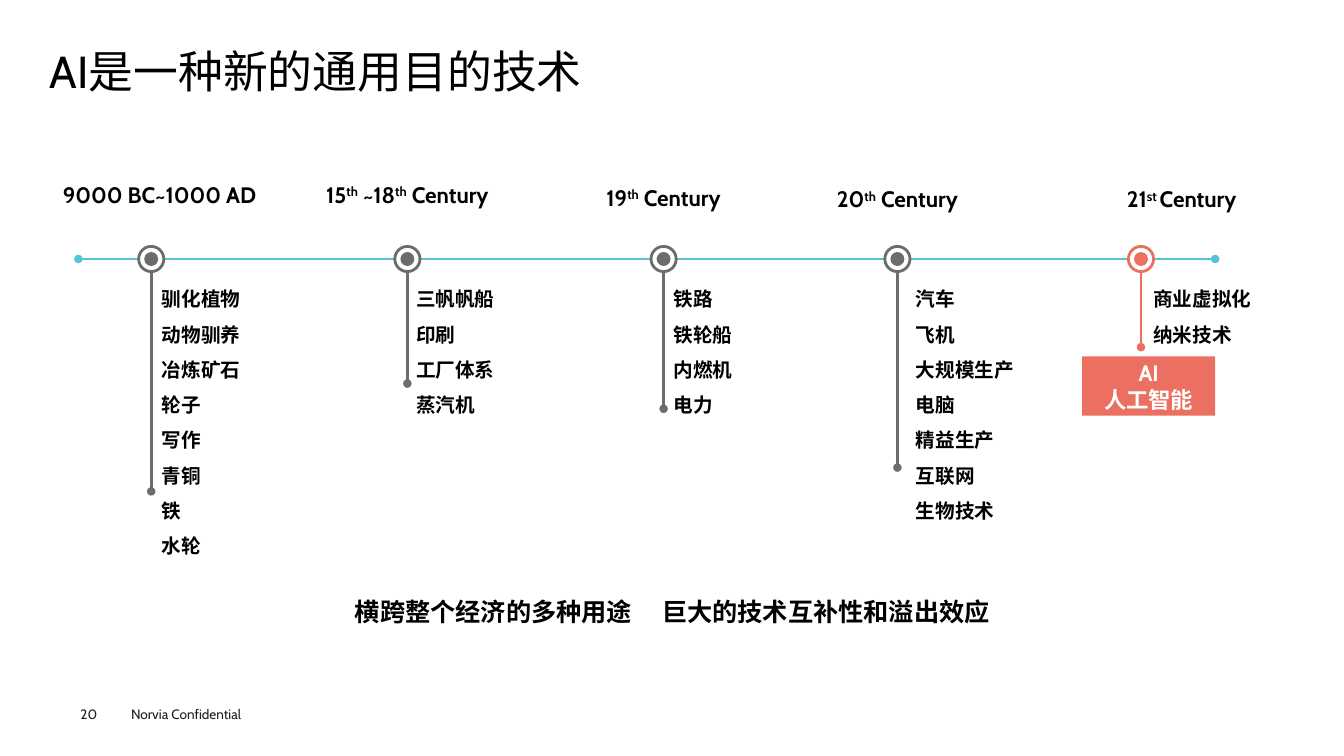
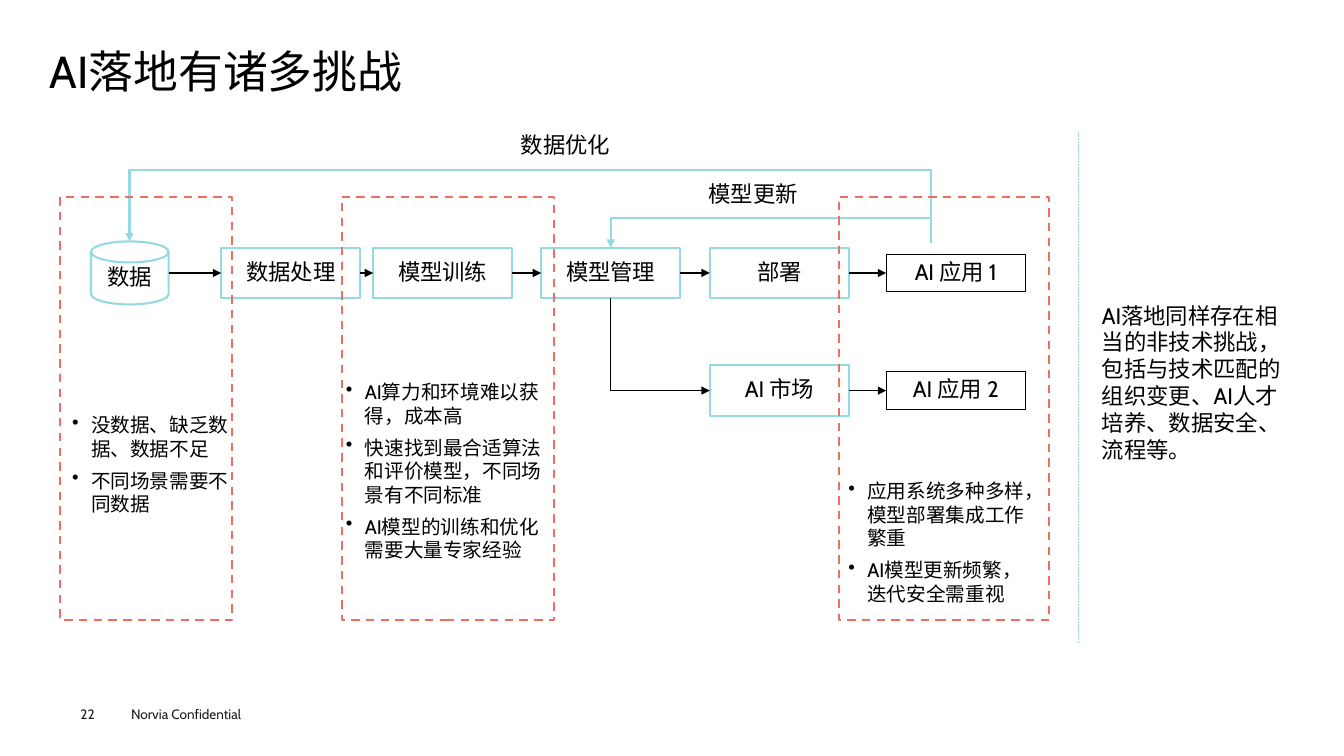
from lxml.etree import SubElement
from pptx import Presentation
from pptx.dml.color import RGBColor
from pptx.enum.dml import MSO_LINE
from pptx.enum.lang import MSO_LANGUAGE_ID
from pptx.enum.shapes import MSO_CONNECTOR, MSO_SHAPE
from pptx.enum.text import MSO_ANCHOR, PP_ALIGN
from pptx.oxml.ns import qn
from pptx.util import Pt

# Shared style
FONT = "Cabin"
BLACK, WHITE, FOOTER = "000000", "FFFFFF", "1D1D1B"
GREY, CORAL, TEAL, PALE_TEAL = "6C6C6C", "EC7061", "56C4D2", "94DAE2"
NO_MARGIN, DEFAULT_MARGIN = (0, 0), (7.2, 3.6)
LEFT, CENTER, RIGHT = PP_ALIGN.LEFT, PP_ALIGN.CENTER, PP_ALIGN.RIGHT
TOP, MIDDLE = MSO_ANCHOR.TOP, MSO_ANCHOR.MIDDLE


def color(value):
    return RGBColor.from_string(value)


def inside(box, left, top, width, height):
    """Box placed relative to the corner of another box."""
    return box[0] + left, box[1] + top, width, height


def points(values):
    return [Pt(value) for value in values]


# Text: a pair of ^ marks encloses superscript
def write(shape, text, size=16, bold=False, ink=BLACK, align=LEFT, anchor=TOP,
          spacing=None, before=0, bullet=None, margin=DEFAULT_MARGIN):
    frame = shape.text_frame
    frame.word_wrap = True
    frame.vertical_anchor = anchor
    frame.margin_left = frame.margin_right = Pt(margin[0])
    frame.margin_top = frame.margin_bottom = Pt(margin[1])
    for index, line in enumerate(text.split("\n")):
        para = frame.add_paragraph() if index else frame.paragraphs[0]
        if bullet:
            properties = para._p.get_or_add_pPr()
            properties.set("marL", str(Pt(13.5)))
            properties.set("indent", str(-Pt(13.5)))
            SubElement(properties, qn("a:buChar")).set("char", bullet)
        para.alignment = align
        if spacing:
            para.line_spacing = spacing
        if index and before:
            para.space_before = Pt(before)
        for part, words in enumerate(line.split("^")):
            if not words:
                continue
            span = para.add_run()
            span.text = words
            span.font.name = FONT
            span.font.size = Pt(size)
            span.font.bold = bold
            span.font.color.rgb = color(ink)
            span.font.language_id = MSO_LANGUAGE_ID.SIMPLIFIED_CHINESE
            if part % 2:
                span.font._element.set("baseline", "31000")


def add_text(page, box, text, **style):
    shape = page.shapes.add_textbox(*points(box))
    write(shape, text, **style)
    return shape


# Shapes and lines
def style_line(shape, ink, width, dash=None, head=None, tail=None):
    shape.line.color.rgb = color(ink)
    shape.line.width = Pt(width)
    if dash:
        shape.line.dash_style = dash
    outline = shape.element.spPr.find(qn("a:ln"))
    for tag, kind in (("a:headEnd", head), ("a:tailEnd", tail)):
        if kind:
            SubElement(outline, qn(tag)).set("type", kind)


def add_shape(page, kind, box, fill=None, ink=None, width=1.5, dash=None):
    shape = page.shapes.add_shape(kind, *points(box))
    shape.shadow.inherit = False
    if fill:
        shape.fill.solid()
        shape.fill.fore_color.rgb = color(fill)
    else:
        shape.fill.background()
    if ink:
        style_line(shape, ink, width, dash)
    else:
        shape.line.fill.background()
    return shape


def add_line(page, start, end, ink, width, **ends):
    line = page.shapes.add_connector(MSO_CONNECTOR.STRAIGHT, *points(start + end))
    style_line(line, ink, width, **ends)
    SubElement(line.element.spPr, qn("a:effectLst"))
    return line


def add_arrow(page, source, target):
    """Arrow from the right side of one box to the left side of another."""
    line = add_line(page, (0, 0), (0, 0), BLACK, 1, tail="triangle")
    line.begin_connect(source, 3)
    line.end_connect(target, 1)


def add_bent_arrow(page, box, corners, ink, width):
    """Right-angled arrow through corners given relative to the box."""
    first, *rest = [(Pt(box[0] + x), Pt(box[1] + y)) for x, y in corners]
    builder = page.shapes.build_freeform(*first, scale=1.0)
    builder.add_line_segments(rest, close=False)
    shape = builder.convert_to_shape()
    shape.shadow.inherit = False
    shape.fill.background()
    style_line(shape, ink, width, tail="triangle")


# Title and footer of every slide
def add_page(deck, title, number):
    page = deck.slides.add_slide(deck.slide_layouts[6])
    add_text(page, (35.5, 35.5, 889, 39), title, size=32, spacing=0.9, margin=NO_MARGIN)
    add_text(page, (86.5, 500.5, 115, 19), "Norvia Confidential", size=9.7, ink=FOOTER)
    add_text(page, (57.5, 504, 40, 12), number, size=9.7, ink=FOOTER, margin=NO_MARGIN)
    return page


# Timeline: x, heading, heading shift (x, y), stem end, list shift, items, colour
STOPS = [
    (52, "9000 BC~1000 AD", (6, 0), 166, 5.5,
     "驯化植物\n动物驯养\n冶炼矿石\n轮子\n写作\n青铜\n铁\n水轮", GREY),
    (235, "15^th^ ~18^th^ Century", (0, 0), 89, 4,
     "三帆帆船\n印刷\n工厂体系\n蒸汽机", GREY),
    (418, "19^th^ Century", (0, 2), 107, 5, "铁路\n铁轮船\n内燃机\n电力", GREY),
    (585, "20^th^ Century", (0, 3), 149, 11,
     "汽车\n飞机\n大规模生产\n电脑\n精益生产\n互联网\n生物技术", GREY),
    (759, "21^st ^Century", (29, 3), 63, 6.5, "商业虚拟化\n纳米技术", CORAL),
]
RING, DOT = 9, 5


def add_stop(page, box, stop):
    """One era, placed around a centre at the top left of its box."""
    _, heading, (shift_x, shift_y), stem, list_shift, items, ink = stop
    add_text(page, inside(box, shift_x - 100, shift_y - 58, 200, 28), heading,
             bold=True, align=CENTER, anchor=MIDDLE, spacing=0.8, margin=NO_MARGIN)
    x, y = box[:2]
    add_line(page, (x, y + stem), (x, y + RING + 1), ink, 2, head="oval")
    add_shape(page, MSO_SHAPE.OVAL, inside(box, -DOT, -DOT, 2 * DOT, 2 * DOT), fill=ink)
    add_shape(page, MSO_SHAPE.OVAL, inside(box, -RING, -RING, 2 * RING, 2 * RING),
              ink=ink, width=2)
    add_text(page, inside(box, list_shift, 9.5, 150, box[3]), items, size=14, bold=True,
             spacing=1.5, margin=(2.2, 2.2))


def add_timeline(page, box):
    left, top, width, height = box
    axis = top + 63
    # Axis pieces run between the rings
    starts = [left] + [left + stop[0] + RING for stop in STOPS]
    ends = [left + stop[0] - RING for stop in STOPS] + [left + width]
    for index, (start, end) in enumerate(zip(starts, ends)):
        add_line(page, (start, axis), (end, axis), TEAL, 2,
                 head=None if index else "oval",
                 tail="oval" if index == len(STOPS) else None)
    for stop in STOPS:
        add_stop(page, (left + stop[0], axis, 150, 25.5 * (stop[5].count("\n") + 1)), stop)
    # Highlighted technology
    highlight = add_shape(page, MSO_SHAPE.RECTANGLE,
                          inside(box, 717, 132.5, 95, 42.5), fill=CORAL)
    write(highlight, "AI\n人工智能", bold=True, ink=WHITE, align=CENTER, anchor=MIDDLE,
          margin=(2, 2))


def add_summary(page, box):
    left, top, width, height = box
    gap, first = 21.5, 198
    for text, x, span_width, align in (
            ("横跨整个经济的多种用途", -20, first + 20, RIGHT),
            ("巨大的技术互补性和溢出效应", first + gap, width - first - gap + 20, LEFT)):
        add_text(page, inside(box, x, 0, span_width, height), text, size=18, bold=True,
                 align=align, anchor=MIDDLE, margin=NO_MARGIN)


# Workflow
STEP_WIDTH, STEP_HEIGHT, APP_HEIGHT = 99.5, 36, 27
APP_X, MARKET_X, MANAGE_X = 590, 464, 343.5
ROW_Y, MARKET_Y = 105, 189
STEPS = [(115, "数据处理"), (223.5, "模型训练"), (MANAGE_X, "模型管理"), (MARKET_X, "部署")]
# Frame left and width, then place and text of its bullets
CHALLENGES = [
    (0, 123, (1.5, 201.5, 129, 81), "没数据、缺乏数据、数据不足\n不同场景需要不同数据"),
    (201, 152, (197, 178, 157, 138),
     "AI算力和环境难以获得，成本高\n快速找到最合适算法和评价模型，不同场景有不同标准\n"
     "AI模型的训练和优化需要大量专家经验"),
    (556, 150.5, (556, 248.5, 152, 98),
     "应用系统多种多样，模型部署集成工作繁重\nAI模型更新频繁，迭代安全需重视"),
]


def add_step(page, box, x, middle, text, height=STEP_HEIGHT, ink=PALE_TEAL, width=1.5):
    step = add_shape(page, MSO_SHAPE.RECTANGLE,
                     inside(box, x, middle - height / 2, STEP_WIDTH, height),
                     ink=ink, width=width)
    write(step, text, align=CENTER, anchor=MIDDLE, spacing=0.9, margin=(5, 2.9))
    return step


def add_workflow(page, box):
    # Data store
    disk = add_shape(page, MSO_SHAPE.FLOWCHART_MAGNETIC_DISK,
                     inside(box, 22, ROW_Y - 22.5, 55.5, 45), ink=PALE_TEAL)
    write(disk, "数据", align=CENTER, anchor=MIDDLE, spacing=0.9, margin=(5, 2.9))

    # Both rows, each ending in an application
    main_row = [add_step(page, box, x, ROW_Y, text) for x, text in STEPS]
    market_row = [add_step(page, box, MARKET_X, MARKET_Y, "AI 市场")]
    for row, middle, text in ((main_row, ROW_Y, "AI 应用 1"),
                              (market_row, MARKET_Y, "AI 应用 2")):
        row.append(add_step(page, box, APP_X, middle, text, APP_HEIGHT, BLACK, 0.75))
        for source, target in zip(row, row[1:]):
            add_arrow(page, source, target)
    feed = add_line(page, (box[0] + 77.5, box[1] + ROW_Y),
                    (box[0] + STEPS[0][0], box[1] + ROW_Y), BLACK, 1, tail="triangle")
    feed.end_connect(main_row[0], 1)

    # Branch and feedback loops
    manage_x, app_x, disk_x = MANAGE_X + STEP_WIDTH / 2, 622, 49.5
    half = STEP_HEIGHT / 2
    add_bent_arrow(page, box, [(manage_x, ROW_Y + half), (manage_x, MARKET_Y),
                               (MARKET_X, MARKET_Y)], BLACK, 1)
    for target_x, top, bottom in ((manage_x, 65.5, ROW_Y - half),
                                  (disk_x, 31.5, ROW_Y - 22.5)):
        add_bent_arrow(page, box, [(app_x, 83.5), (app_x, top), (target_x, top),
                                   (target_x, bottom)], PALE_TEAL, 1.5)
    for place, text in (((443, 35, 104, 27), "模型更新"), ((295, 0, 132, 27), "数据优化")):
        add_text(page, inside(box, *place), text, align=CENTER)

    # Challenge frames
    for left, width, place, text in CHALLENGES:
        add_shape(page, MSO_SHAPE.RECTANGLE, inside(box, left, 50.5, width, 302.5),
                  ink=CORAL, dash=MSO_LINE.DASH)
        add_text(page, inside(box, *place), text, size=14, before=6, bullet="•")


def add_side_note(page, box):
    left, top, width, height = box
    add_line(page, (left, top), (left, top + height), PALE_TEAL, 0.5,
             dash=MSO_LINE.SQUARE_DOT)
    add_text(page, inside(box, 9.5, 117.5, 146, 124),
             "AI落地同样存在相当的非技术挑战，包括与技术匹配的组织变更、AI人才培养、数据安全、流程等。")


def main():
    deck = Presentation()
    deck.slide_width, deck.slide_height = Pt(960), Pt(540)

    history = add_page(deck, "AI是一种新的通用目的技术", "20")
    add_timeline(history, (56, 122, 812, 310))
    add_summary(history, (253.5, 424, 452, 25))

    challenges = add_page(deck, "AI落地有诸多挑战", "22")
    add_workflow(challenges, (43, 90, 714, 353))
    add_side_note(challenges, (770.5, 94.5, 156, 365))

    deck.save("out.pptx")


if __name__ == "__main__":
    main()
